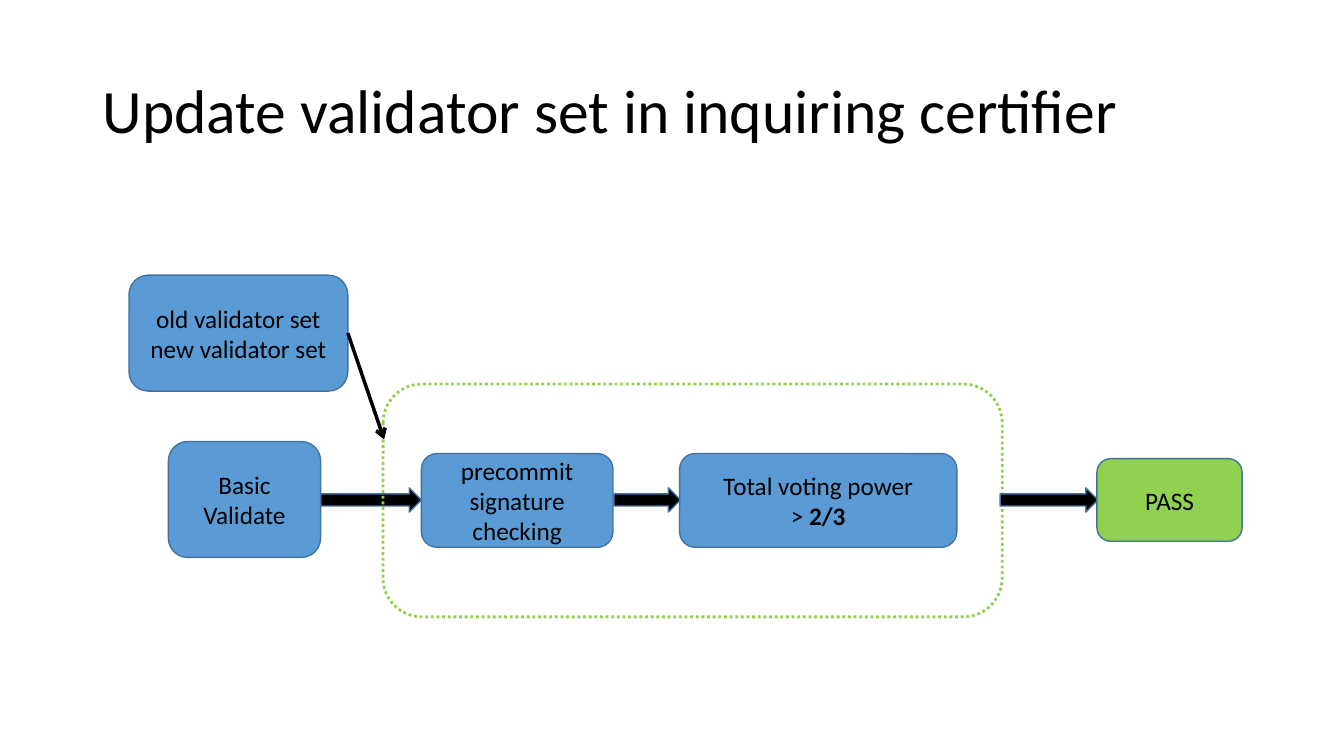
"""Build the slide on updating the validator set in an inquiring certifier."""
from dataclasses import dataclass

import pptx
import pptx.dml.color
import pptx.enum.dml
import pptx.enum.shapes
import pptx.enum.text
import pptx.oxml
import pptx.oxml.ns
import pptx.util
from pptx.util import Inches

ShapeType = pptx.enum.shapes.MSO_SHAPE


@dataclass(frozen=True)
class Theme:
    font: str = "Calibri"
    title_size: int = 44
    body_size: int = 18
    black: str = "000000"
    blue: str = "5B9BD5"
    outline: str = "43739E"
    green: str = "92D050"


theme = Theme()


def add_figure(kind, left, top, width, height, fill, line=theme.outline, line_width=1):
    shape = slide.shapes.add_shape(kind, Inches(left), Inches(top), Inches(width), Inches(height))
    shape.shadow.inherit = False
    if fill:
        shape.fill.solid()
        shape.fill.fore_color.rgb = pptx.dml.color.RGBColor.from_string(fill)
    else:
        shape.fill.background()
    shape.line.color.rgb = pptx.dml.color.RGBColor.from_string(line)
    shape.line.width = pptx.util.Pt(line_width)
    return shape


def style_paragraph(paragraph, size, alignment):
    paragraph.alignment = alignment
    paragraph.font.name = theme.font
    paragraph.font.size = pptx.util.Pt(size)
    paragraph.font.color.rgb = pptx.dml.color.RGBColor.from_string(theme.black)


presentation = pptx.Presentation()
presentation.slide_width = Inches(13.33)
presentation.slide_height = Inches(7.5)
slide = presentation.slides.add_slide(presentation.slide_layouts[6])

title = slide.shapes.add_textbox(Inches(0.92), Inches(0.4), Inches(11.5), Inches(1.45))
title.text_frame.word_wrap = True
title.text_frame.vertical_anchor = pptx.enum.text.MSO_ANCHOR.MIDDLE
title_paragraph = title.text_frame.paragraphs[0]
title_paragraph.text = "Update validator set in inquiring certifier"
title_paragraph.line_spacing = 0.9
style_paragraph(title_paragraph, theme.title_size, pptx.enum.text.PP_ALIGN.LEFT)

arrow_height = 0.24
flow_middle = 4.96
for left, length in [(3.18, 1), (6.09, 0.66)]:
    add_figure(ShapeType.RIGHT_ARROW, left, flow_middle - arrow_height / 2,
               length, arrow_height, theme.black)

frame = add_figure(ShapeType.ROUNDED_RECTANGLE, 3.8, 3.81, 6.14, 2.31, None, theme.green, 2)
frame.line.dash_style = pptx.enum.dml.MSO_LINE.ROUND_DOT

add_figure(ShapeType.RIGHT_ARROW, 9.92, flow_middle - arrow_height / 2,
           0.97, arrow_height, theme.black)

box_rows = [
    ("sets", 1.28, 2.73, 2.17, 1.15, theme.blue, ["old validator set", "new validator set"]),
    ("basic", 1.67, 4.38, 1.51, 1.15, theme.blue, ["Basic Validate"]),
    ("precommit", 4.18, 4.5, 1.9, 0.93, theme.blue, ["precommit", "signature", "checking"]),
    ("power", 6.74, 4.5, 2.75, 0.93, theme.blue, ["Total voting power", "> "]),
    ("pass", 10.88, 4.55, 1.44, 0.82, theme.green, ["PASS"]),
]
boxes = {}
for name, left, top, width, height, fill, lines in box_rows:
    box = add_figure(ShapeType.ROUNDED_RECTANGLE, left, top, width, height, fill)
    box.text_frame.word_wrap = True
    box.text_frame.vertical_anchor = pptx.enum.text.MSO_ANCHOR.MIDDLE
    box.text_frame.text = "\n".join(lines)
    for paragraph in box.text_frame.paragraphs:
        style_paragraph(paragraph, theme.body_size, pptx.enum.text.PP_ALIGN.CENTER)
    boxes[name] = box

threshold = boxes["power"].text_frame.paragraphs[1].add_run()
threshold.text = "2/3"
threshold.font.bold = True

connector = slide.shapes.add_connector(
    pptx.enum.shapes.MSO_CONNECTOR.STRAIGHT,
    Inches(3.45), Inches(3.3), Inches(3.81), Inches(4.36))
connector.begin_connect(boxes["sets"], 3)
connector.line.color.rgb = pptx.dml.color.RGBColor.from_string(theme.black)
connector.line.width = pptx.util.Pt(2.5)
namespace = pptx.oxml.ns.nsdecls("a")
connector.line._get_or_add_ln().append(
    pptx.oxml.parse_xml(f'<a:tailEnd {namespace} type="arrow"/>'))
connector._element.spPr.append(pptx.oxml.parse_xml(f"<a:effectLst {namespace}/>"))

presentation.save("out.pptx")
